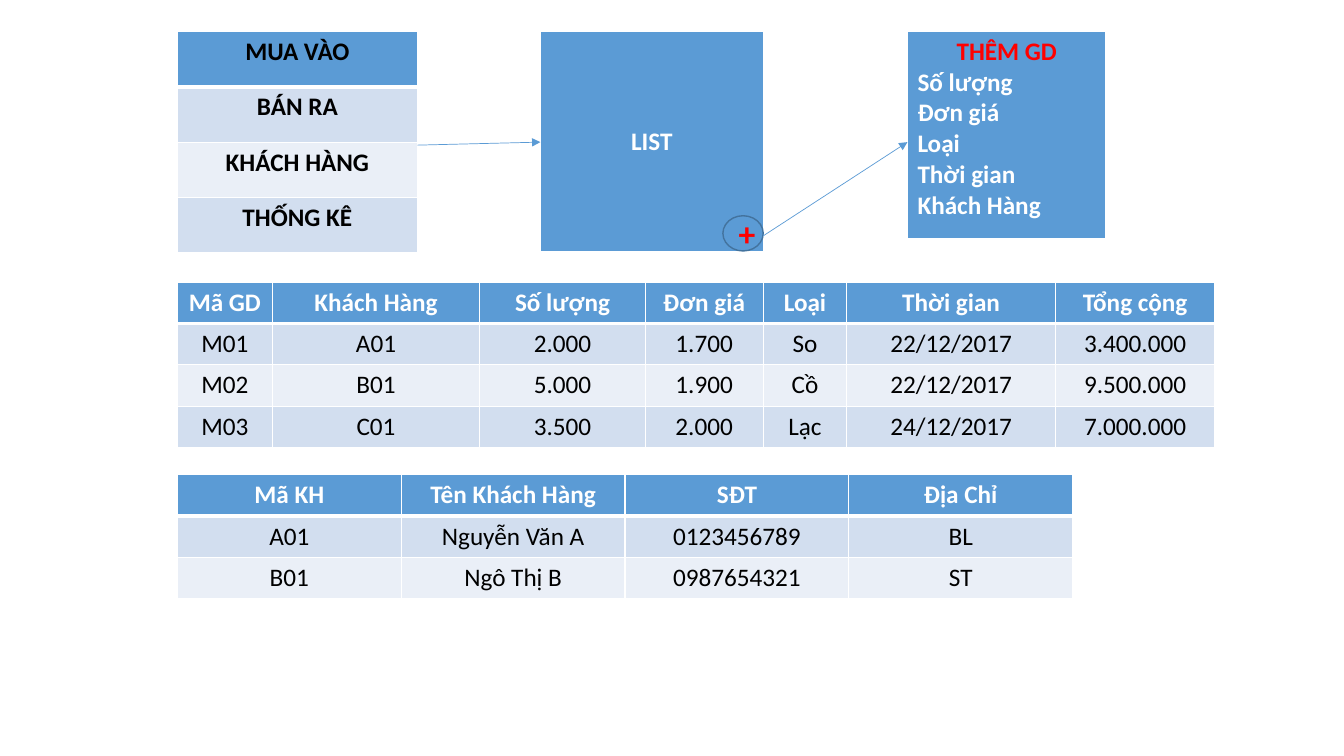
from lxml.etree import SubElement
from pptx import Presentation
from pptx.dml.color import RGBColor
from pptx.enum.shapes import MSO_CONNECTOR, MSO_SHAPE
from pptx.enum.text import MSO_ANCHOR, PP_ALIGN
from pptx.oxml.ns import qn
from pptx.util import Pt

PX = 9144
BLUE = RGBColor(0x5B, 0x9B, 0xD5)
DARK_BLUE = RGBColor(0x43, 0x73, 0x9E)
BAND_DARK = RGBColor(0xD2, 0xDE, 0xEF)
BAND_LIGHT = RGBColor(0xEA, 0xEF, 0xF7)
WHITE = RGBColor(0xFF, 0xFF, 0xFF)
BLACK = RGBColor(0, 0, 0)
RED = RGBColor(0xFF, 0, 0)
LEFT, TOP = 176, 31


def write(para, text, color=WHITE, bold=True, size=18, align=PP_ALIGN.CENTER):
    para.alignment = align
    span = para.add_run()
    span.text = text
    span.font.name = "Calibri"
    span.font.size = Pt(size)
    span.font.bold = bold
    span.font.color.rgb = color


def add_grid(left, top, widths, height, rows, header_color=WHITE, body_bold=False):
    table = page.shapes.add_table(
        len(rows), len(widths), left * PX, top * PX, sum(widths) * PX, height * len(rows) * PX
    ).table
    for column, width in zip(table.columns, widths):
        column.width = width * PX
    for row_index, values in enumerate(rows):
        table.rows[row_index].height = height * PX
        header = row_index == 0
        for column_index, text in enumerate(values):
            cell = table.cell(row_index, column_index)
            write(cell.text_frame.paragraphs[0], text,
                  color=header_color if header else BLACK, bold=header or body_bold)
            properties = cell._tc.get_or_add_tcPr()
            thick_side = {0: "lnB", 1: "lnT"}.get(row_index)
            for side in ("lnL", "lnR", "lnT", "lnB"):
                points = 3 if side == thick_side else 1
                border = SubElement(properties, qn(f"a:{side}"), w=str(Pt(points)))
                paint = SubElement(border, qn("a:solidFill"))
                SubElement(paint, qn("a:srgbClr"), val=str(WHITE))
            cell.fill.solid()
            cell.fill.fore_color.rgb = BLUE if header else (BAND_LIGHT, BAND_DARK)[row_index % 2]
    return table


deck = Presentation()
deck.slide_width, deck.slide_height = 1333 * PX, 750 * PX
page = deck.slides.add_slide(deck.slide_layouts[6])

add_grid(LEFT, TOP, [238], 55, [["MUA VÀO"], ["BÁN RA"], ["KHÁCH HÀNG"], ["THỐNG KÊ"]],
         header_color=BLACK, body_bold=True)

list_table = add_grid(536, TOP, [221], 220, [["LIST"]])
list_table.cell(0, 0).vertical_anchor = MSO_ANCHOR.MIDDLE

form_table = add_grid(900, TOP, [197], 207, [["THÊM GD"]], header_color=RED)
for field in ("Số lượng", "Đơn giá", "Loại", "Thời gian", "Khách Hàng"):
    write(form_table.cell(0, 0).text_frame.add_paragraph(), field, align=PP_ALIGN.LEFT)

add_grid(LEFT, 280, [94, 206, 164, 117, 83, 207, 158], 41, [
    ["Mã GD", "Khách Hàng", "Số lượng", "Đơn giá", "Loại", "Thời gian", "Tổng cộng"],
    ["M01", "A01", "2.000", "1.700", "So", "22/12/2017", "3.400.000"],
    ["M02", "B01", "5.000", "1.900", "Cồ", "22/12/2017", "9.500.000"],
    ["M03", "C01", "3.500", "2.000", "Lạc", "24/12/2017", "7.000.000"],
])

add_grid(LEFT, 471, [222] * 4, 41, [
    ["Mã KH", "Tên Khách Hàng", "SĐT", "Địa Chỉ"],
    ["A01", "Nguyễn Văn A", "0123456789", "BL"],
    ["B01", "Ngô Thị B", "0987654321", "ST"],
])

plus_button = page.shapes.add_shape(MSO_SHAPE.OVAL, 717 * PX, 214 * PX, 40 * PX, 35 * PX)
plus_button.shadow.inherit = False
plus_button.fill.solid()
plus_button.fill.fore_color.rgb = BLUE
plus_button.line.color.rgb = DARK_BLUE
plus_button.line.width = Pt(1)
plus_button.text_frame.vertical_anchor = MSO_ANCHOR.MIDDLE
write(plus_button.text_frame.paragraphs[0], "+", color=RED, size=24)

for ends in ((414, 144, 536, 141), (757, 234, 900, 141)):
    arrow = page.shapes.add_connector(MSO_CONNECTOR.STRAIGHT, *(end * PX for end in ends))
    arrow.line.color.rgb = BLUE
    arrow.line.width = Pt(0.5)
    SubElement(arrow.line._get_or_add_ln(), qn("a:tailEnd"), type="triangle")
    SubElement(arrow._element.spPr, qn("a:effectLst"))

deck.save("out.pptx")
